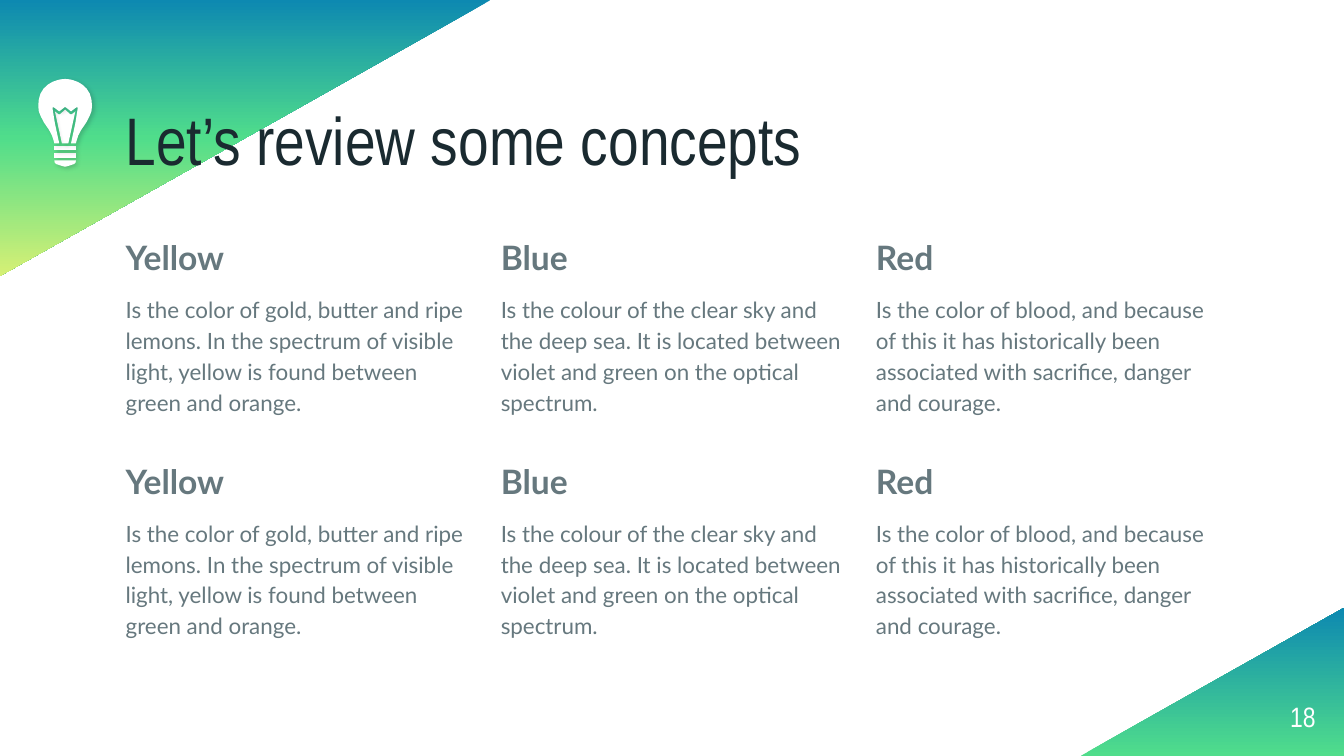
from collections import namedtuple

from lxml import etree
from pptx import Presentation, util as u
from pptx.dml.color import RGBColor
from pptx.enum import shapes, text
from pptx.oxml.ns import qn

Box = namedtuple("Box", "left top width height")

WIDTH, HEIGHT = u.Inches(10), u.Inches(5.625)
BLUE = RGBColor(0x0D, 0x89, 0xB1)
GREEN = RGBColor(0x50, 0xDD, 0x8B)
LIME = RGBColor(0xD6, 0xF0, 0x75)
INK = RGBColor(0x1A, 0x2A, 0x30)
GREY = RGBColor(0x66, 0x78, 0x7E)
WHITE = RGBColor(0xFF, 0xFF, 0xFF)

YELLOW_TEXT = ("Is the color of gold, butter and ripe lemons. In the spectrum of "
               "visible light, yellow is found between green and orange.")
BLUE_TEXT = ("Is the colour of the clear sky and the deep sea. It is located "
             "between violet and green on the optical spectrum.")
RED_TEXT = ("Is the color of blood, and because of this it has historically been "
            "associated with sacrifice, danger and courage.")
CONCEPTS = [("Yellow", YELLOW_TEXT), ("Blue", BLUE_TEXT), ("Red", RED_TEXT)]

# Right halves of the bulb's parts: percent of the bulb's width from its axis,
# percent of its height from its top.
BULB_HALVES = [
    [(20, 84.5), (20, 90)],
    [(20, 76.5), (20, 81.5)],
    [(20, 93), (19.5, 95.5), (17, 97), (3, 99.8), (0, 100)],
    [(0, 35), (9, 40), (11, 40.5), (13, 40), (19, 37), (6, 73.5)],
    [(0, 0), (9, 0.5), (15, 1.5), (24, 3.5), (32, 6.5), (40, 11), (46, 17),
     (49, 23.5), (50, 30.5), (49, 37), (45, 43), (39, 50), (30, 58),
     (24.5, 64.5), (21.5, 70), (20, 73.5), (11, 73.5), (19, 50.5),
     (23.5, 33.5), (23, 32.3), (21, 32.3), (11, 37), (1, 32.3), (0, 32.2)],
]


def share_box(left, top, width, height):
    """Box given in percent of the slide's size."""
    return Box(*(int(share * whole / 100) for share, whole in
                 zip((left, top, width, height), (WIDTH, HEIGHT) * 2)))


def add_corner(slide, box, rotation, stops):
    """Quarter-turned right triangle that fills the box, with a vertical gradient."""
    left = box.left + (box.width - box.height) // 2
    top = box.top + (box.height - box.width) // 2
    shape = slide.shapes.add_shape(shapes.MSO_SHAPE.RIGHT_TRIANGLE,
                                   left, top, box.height, box.width)
    shape.rotation = rotation
    shape.shadow.inherit = False
    shape.line.fill.background()
    shape.fill.gradient()
    shape.fill.gradient_angle = 0
    stop_list = shape._element.spPr.find(".//" + qn("a:gsLst"))
    for stop in list(stop_list):
        stop_list.remove(stop)
    for position, color in stops:
        stop = etree.SubElement(stop_list, qn("a:gs"), pos=str(position * 1000))
        etree.SubElement(stop, qn("a:srgbClr"), val=str(color))


def add_text_frame(slide, box, anchor):
    frame = slide.shapes.add_textbox(*box).text_frame
    frame.word_wrap = True
    frame.vertical_anchor = anchor
    frame.margin_left = frame.margin_right = 0
    frame.margin_top = frame.margin_bottom = 0
    return frame


def add_run(paragraph, words, font_name, size, color, bold=False):
    run = paragraph.add_run()
    run.text = words
    run.font.name = font_name
    run.font.size = u.Pt(size)
    run.font.color.rgb = color
    run.font.bold = bold


def add_title(slide, box, words):
    paragraph = add_text_frame(slide, box, text.MSO_ANCHOR.BOTTOM).paragraphs[0]
    paragraph.line_spacing = 0.9
    add_run(paragraph, words, "Arial Narrow", 36, INK)


def add_page_number(slide, box, number):
    paragraph = add_text_frame(slide, box, text.MSO_ANCHOR.MIDDLE).paragraphs[0]
    paragraph.alignment = text.PP_ALIGN.RIGHT
    add_run(paragraph, number, "Arial Narrow", 15, WHITE)


def add_concept(slide, box, heading, body):
    frame = add_text_frame(slide, box, text.MSO_ANCHOR.TOP)
    heading_paragraph, body_paragraph = frame.paragraphs[0], frame.add_paragraph()
    heading_paragraph.line_spacing = body_paragraph.line_spacing = 1.15
    body_paragraph.space_before = u.Pt(8)
    add_run(heading_paragraph, heading, "Lato", 18, GREY, bold=True)
    add_run(body_paragraph, body, "Lato", 12, GREY)


def add_concept_grid(slide, box, concepts, rows=2):
    columns = len(concepts)
    column_gap, row_gap = box.width * 0.03, box.height * 0.02
    width = (box.width - column_gap * (columns - 1)) / columns
    height = (box.height - row_gap * (rows - 1)) / rows
    for row in range(rows):
        for column, (heading, body) in enumerate(concepts):
            cell = Box(int(box.left + column * (width + column_gap)),
                       int(box.top + row * (height + row_gap)),
                       int(width), int(height))
            add_concept(slide, cell, heading, body)


def add_soft_shadow(shape):
    shape.shadow.inherit = False
    effects = shape._element.spPr.find(qn("a:effectLst"))
    shadow = etree.SubElement(effects, qn("a:outerShdw"), blurRad=str(u.Pt(2.2)),
                              dist=str(u.Pt(1.5)), dir=str(45 * 60000),
                              algn="bl", rotWithShape="0")
    color = etree.SubElement(shadow, qn("a:srgbClr"), val=str(INK))
    etree.SubElement(color, qn("a:alpha"), val="20000")


def add_bulb(slide, box):
    group = slide.shapes.add_group_shape()
    axis = box.left + box.width / 2
    for half in BULB_HALVES:
        mirrored = [(-offset, drop) for offset, drop in reversed(half)]
        points = [(int(axis + box.width * offset / 100),
                   int(box.top + box.height * drop / 100))
                  for offset, drop in half + mirrored]
        builder = group.shapes.build_freeform(*points[0])
        builder.add_line_segments(points[1:], close=True)
        part = builder.convert_to_shape()
        part.fill.solid()
        part.fill.fore_color.rgb = WHITE
        part.line.fill.background()
        add_soft_shadow(part)


def main():
    presentation = Presentation()
    presentation.slide_width, presentation.slide_height = WIDTH, HEIGHT
    slide = presentation.slides.add_slide(presentation.slide_layouts[6])
    add_corner(slide, share_box(0, 0, 36.5, 36.5), 90,
               [(0, BLUE), (50, GREEN), (100, LIME)])
    add_corner(slide, share_box(80.4, 80.4, 19.6, 19.6), 270,
               [(0, GREEN), (100, BLUE)])
    add_title(slide, share_box(9.35, 16.2, 81.4, 7.6), "Let’s review some concepts")
    add_concept_grid(slide, share_box(9.35, 30.6, 81.3, 57.9), CONCEPTS)
    add_page_number(slide, share_box(91.9, 90.9, 6, 7.6), "18")
    add_bulb(slide, share_box(2.85, 10.45, 4, 11.6))
    presentation.save("out.pptx")


if __name__ == "__main__":
    main()
